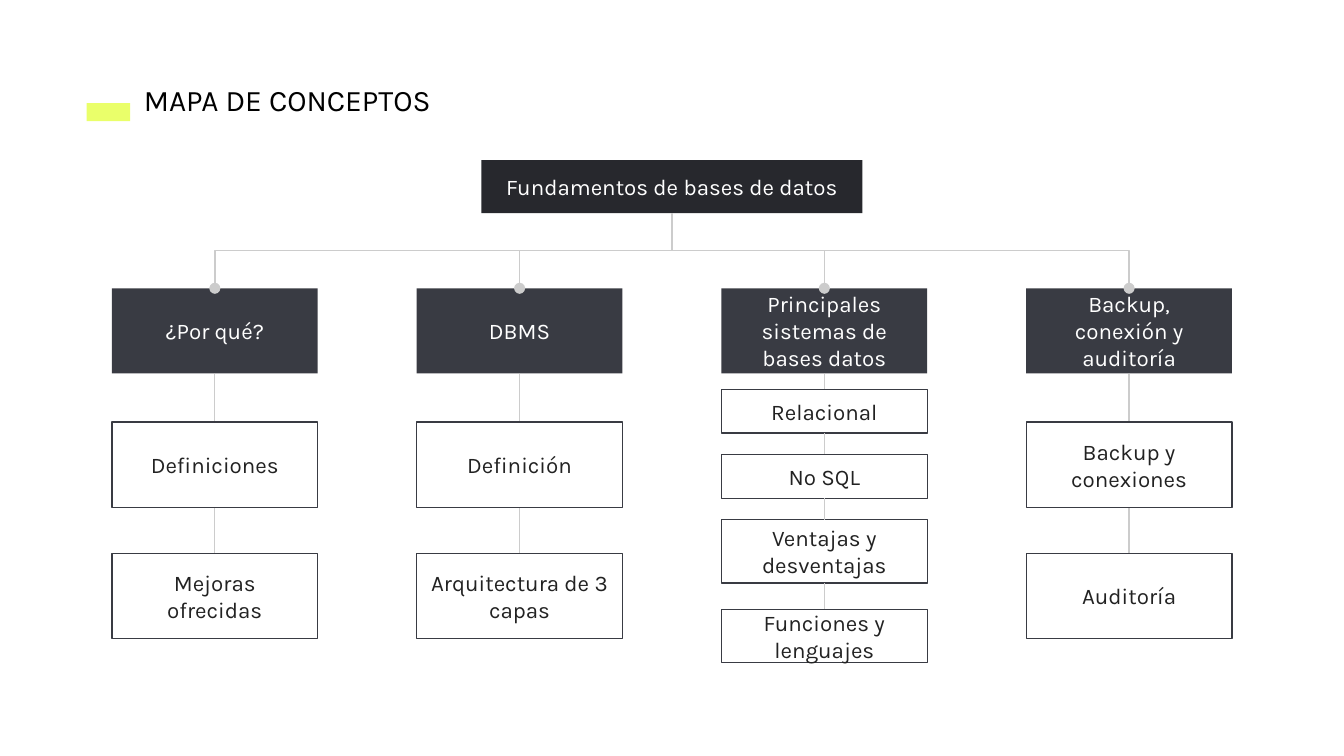
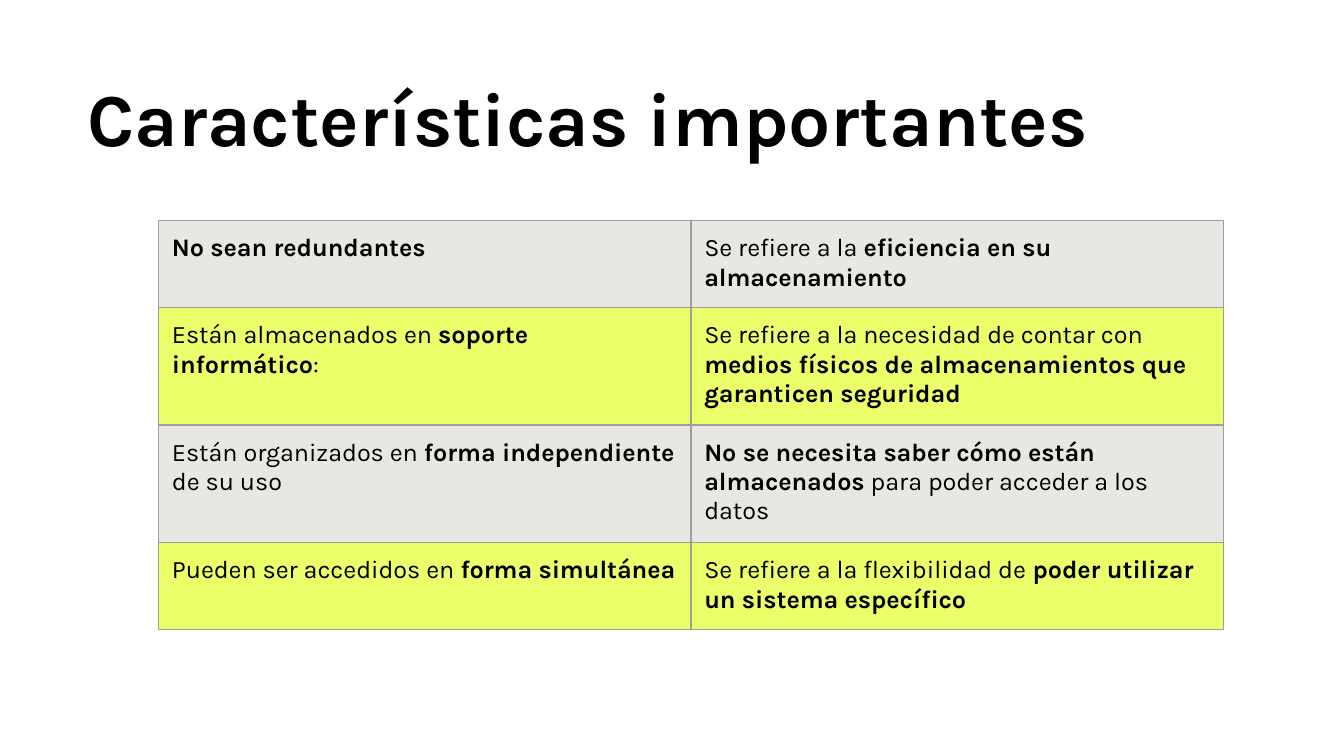
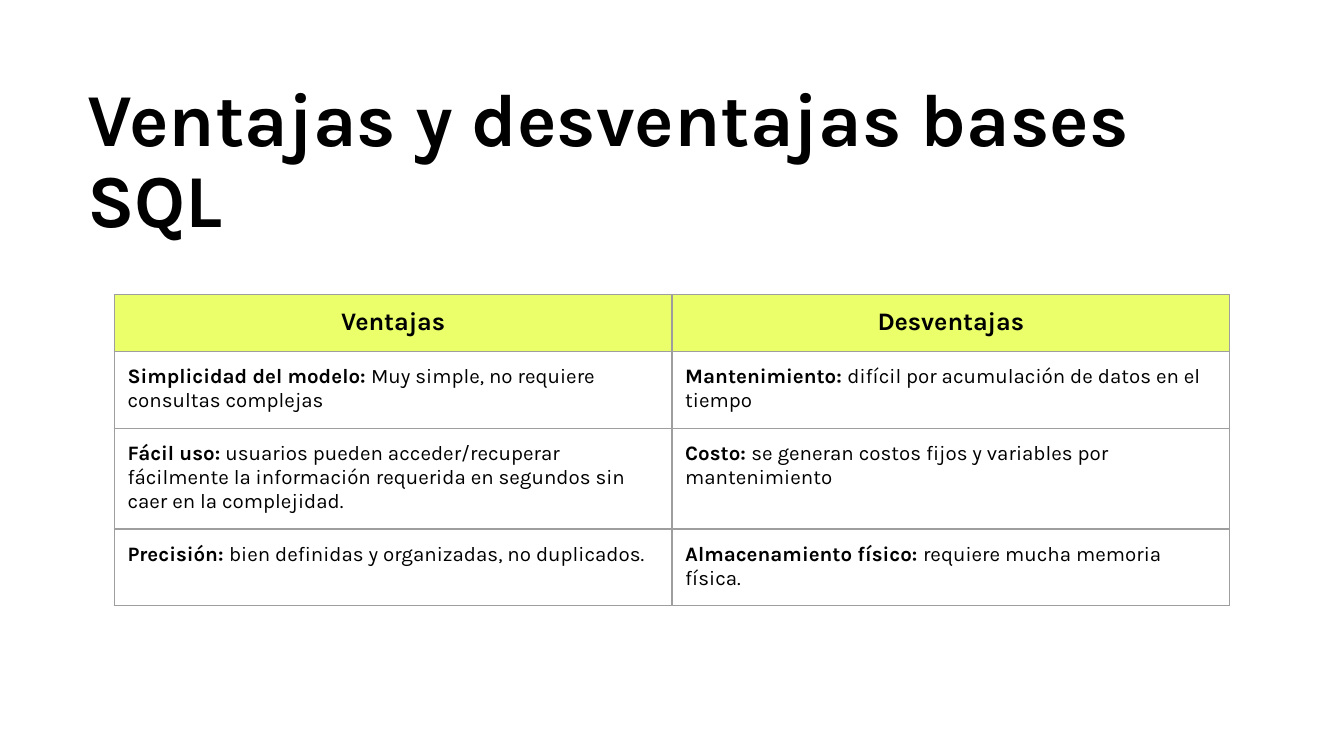
from dataclasses import dataclass

from pptx import Presentation, util as u
from pptx.dml.color import RGBColor
from pptx.enum import shapes as es, text as et
from pptx.oxml import ns, xmlchemy as xm

Cm, Pt = u.Cm, u.Pt

# Shared style
FONT = "Karla"
BLACK, WHITE, INK = "000000", "FFFFFF", "222222"
LIME, SAND = "EAFF6A", "E8E7E3"
DARK, SLATE = "27282D", "393B43"
WIRE, GRID = "CCCCCC", "9E9E9E"
PAD, THIN = Cm(0.25), Pt(0.75)
LEFT, CENTER = et.PP_ALIGN.LEFT, et.PP_ALIGN.CENTER

# Concept map layout, in centimetres
MID, STEP, WIDE = 12.7, 5.76, 3.89
HEAD_TOP, TALL = 5.45, 1.61


@dataclass
class Node:
    text: str
    top: float
    high: float = TALL


@dataclass
class Branch:
    head: str
    kids: list[Node]
    chain: bool = False  # links from box to box instead of one long line


@dataclass
class Grid:
    left: float
    top: float
    width: float
    highs: list[float]
    rows: list[tuple[str, str]]
    fills: list[str]
    sizes: list[float]
    aligns: list


BRANCHES = [
    Branch("¿Por qué?", [Node("Definiciones", 7.98), Node("Mejoras ofrecidas", 10.46)]),
    Branch("DBMS", [Node("Definición", 7.98), Node("Arquitectura de 3 capas", 10.46)]),
    Branch("Principales sistemas de bases datos", [
        Node("Relacional", 7.36, 0.83),
        Node("No SQL", 8.59, 0.83),
        Node("Ventajas y desventajas", 9.82, 1.2),
        Node("Funciones y lenguajes", 11.52, 1),
    ], chain=True),
    Branch("Backup, conexión y auditoría",
           [Node("Backup y conexiones", 7.98), Node("Auditoría", 10.46)]),
]

# Text between double asterisks is bold
TRAITS = Grid(
    3, 4.17, 20.12, [1.64, 2.22, 2.22, 1.64],
    [
        ("**No sean redundantes**",
         "Se refiere a la **eficiencia en su almacenamiento**"),
        ("Están almacenados en **soporte informático**:",
         "Se refiere a la necesidad de contar con "
         "**medios físicos de almacenamientos que garanticen seguridad**"),
        ("Están organizados en **forma independiente **de su uso",
         "**No se necesita saber cómo están almacenados** para poder acceder a los datos"),
        ("Pueden ser accedidos en **forma simultánea**",
         "Se refiere a la flexibilidad de **poder utilizar un sistema específico**"),
    ],
    [SAND, LIME] * 2, [13.5] * 4, [LEFT] * 4)

SQL = Grid(
    2.16, 5.57, 21.08, [1.08, 1.45, 1.89, 1.45],
    [
        ("**Ventajas**", "**Desventajas**"),
        ("**Simplicidad del modelo:** Muy simple, no requiere consultas complejas",
         "**Mantenimiento: **difícil por acumulación de datos en el tiempo"),
        ("**Fácil uso:** usuarios pueden acceder/recuperar fácilmente la información "
         "requerida en segundos sin caer en la complejidad.",
         "**Costo: **se generan costos fijos y variables por mantenimiento"),
        ("**Precisión: **bien definidas y organizadas, no duplicados.",
         "**Almacenamiento físico: **requiere mucha memoria física."),
    ],
    [LIME] + [WHITE] * 3, [13.5] + [11] * 3, [CENTER] + [LEFT] * 3)


def rgb(code: str) -> RGBColor:
    return RGBColor.from_string(code)


def paint(item, code: str) -> None:
    item.fill.solid()
    item.fill.fore_color.rgb = rgb(code)


def write(frame, words: str, *, size: float, color: str = BLACK,
          align=LEFT, space: float | None = None) -> None:
    para = frame.paragraphs[0]
    para.alignment = align
    para.line_spacing = space
    for i, part in enumerate(words.split("**")):
        if part:
            run = para.add_run()
            run.text = part
            font = run.font
            font.name, font.size, font.bold = FONT, Pt(size), i % 2 == 1
            font.color.rgb = rgb(color)


def inset(frame) -> None:
    frame.word_wrap = True
    frame.margin_left = frame.margin_right = PAD
    frame.margin_top = frame.margin_bottom = PAD


def title(slide, words: str, left: float, width: float, high: float, **style) -> None:
    frame = slide.shapes.add_textbox(Cm(left), Cm(1.3), Cm(width), Cm(high)).text_frame
    inset(frame)
    frame.auto_size = et.MSO_AUTO_SIZE.SHAPE_TO_FIT_TEXT
    write(frame, words, **style)


def headline(slide, words: str, high: float) -> None:
    title(slide, f"**{words}**", 1.4, 22.6, high, size=40, space=0.9)


def block(slide, left: float, top: float, width: float, high: float,
          fill: str, edge: str | None = None):
    shape = slide.shapes.add_shape(
        es.MSO_SHAPE.RECTANGLE, Cm(left), Cm(top), Cm(width), Cm(high))
    shape.shadow.inherit = False
    paint(shape, fill)
    if edge:
        shape.line.color.rgb, shape.line.width = rgb(edge), THIN
    else:
        shape.line.fill.background()
    return shape


def box(slide, node: Node, center: float, width: float, fill: str,
        color: str = WHITE, edge: str | None = None):
    shape = block(slide, center - width / 2, node.top, width, node.high, fill, edge)
    frame = shape.text_frame
    inset(frame)
    frame.vertical_anchor = et.MSO_ANCHOR.MIDDLE
    write(frame, node.text, size=12, color=color, align=CENTER)
    return shape


def join(slide, upper, lower, kind=es.MSO_CONNECTOR.STRAIGHT):
    link = slide.shapes.add_connector(kind, 0, 0, 0, 0)
    link.begin_connect(upper, 2)
    link.end_connect(lower, 0)
    link.line.color.rgb, link.line.width = rgb(WIRE), THIN
    xm.OxmlElement  # element factory shared with the table borders
    link._element.spPr.append(xm.OxmlElement("a:effectLst"))
    return link


def bend(slide, upper, lower) -> None:
    """Elbow that leaves downwards: a quarter turn of the plain elbow."""
    link = join(slide, upper, lower, es.MSO_CONNECTOR.ELBOW)
    right = link.end_x > link.begin_x
    left, top, wide, high = link.left, link.top, link.width, link.height
    shift = (wide - high) // 2
    link.left, link.top = left + shift, top - shift
    link.width, link.height = high, wide
    frame = link._element.spPr.find(ns.qn("a:xfrm"))
    frame.set("rot", str((270 if right else 90) * 60000))
    frame.set("flipH", "1" if right else "0")
    tail = xm.OxmlElement("a:tailEnd")
    tail.set("type", "oval")
    link.line._get_or_add_ln().append(tail)


def branch(slide, root, part: Branch, center: float) -> None:
    def leaf(node: Node):
        return box(slide, node, center, WIDE, WHITE, INK, SLATE)

    head = box(slide, Node(part.head, HEAD_TOP), center, WIDE, SLATE)
    bend(slide, root, head)
    if part.chain:
        for node in part.kids:
            kid = leaf(node)
            join(slide, head, kid)
            head = kid
    else:
        first, last = part.kids
        join(slide, head, leaf(last))
        leaf(first)


def border(cell) -> None:
    props = cell._tc.get_or_add_tcPr()
    for side in "LRTB":
        line = xm.OxmlElement(f"a:ln{side}")
        line.set("w", str(THIN))
        fill = xm.OxmlElement("a:solidFill")
        color = xm.OxmlElement("a:srgbClr")
        color.set("val", GRID)
        fill.append(color)
        line.append(fill)
        props.append(line)


def table(slide, grid: Grid) -> None:
    tab = slide.shapes.add_table(
        len(grid.rows), 2, Cm(grid.left), Cm(grid.top),
        Cm(grid.width), Cm(sum(grid.highs))).table
    tab.first_row = tab.horz_banding = False
    for i, words in enumerate(grid.rows):
        tab.rows[i].height = Cm(grid.highs[i])
        for cell, part in zip(tab.rows[i].cells, words):
            border(cell)
            paint(cell, grid.fills[i])
            cell.margin_left = cell.margin_right = PAD
            cell.margin_top = cell.margin_bottom = PAD
            write(cell.text_frame, part, size=grid.sizes[i], align=grid.aligns[i])


def main() -> None:
    deck = Presentation()
    deck.slide_width, deck.slide_height = Cm(25.4), Cm(14.29)
    concept, traits, sql = (
        deck.slides.add_slide(deck.slide_layouts[6]) for _ in range(3))

    # Concept map
    block(concept, 1.64, 1.95, 0.82, 0.34, LIME)
    title(concept, "MAPA DE CONCEPTOS", 2.47, 6.83, 1.19, size=16)
    root = box(concept, Node("Fundamentos de bases de datos", 3.03, 1), MID, 7.2, DARK)
    for i, part in enumerate(BRANCHES):
        branch(concept, root, part, MID + (i - 1.5) * STEP)

    # Key traits
    headline(traits, "Características importantes", 2.06)
    table(traits, TRAITS)

    # Pros and cons
    headline(sql, "Ventajas y desventajas bases SQL", 3.58)
    table(sql, SQL)

    deck.save("out.pptx")


if __name__ == "__main__":
    main()
